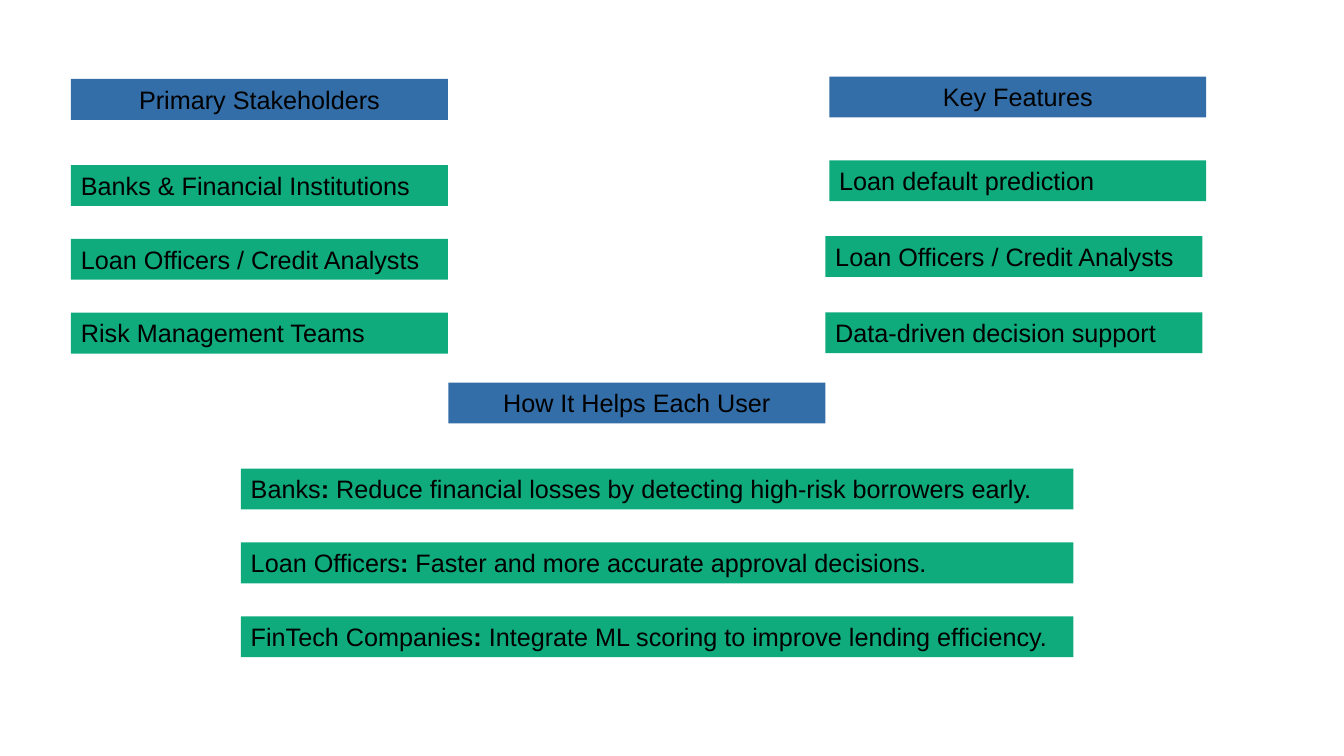
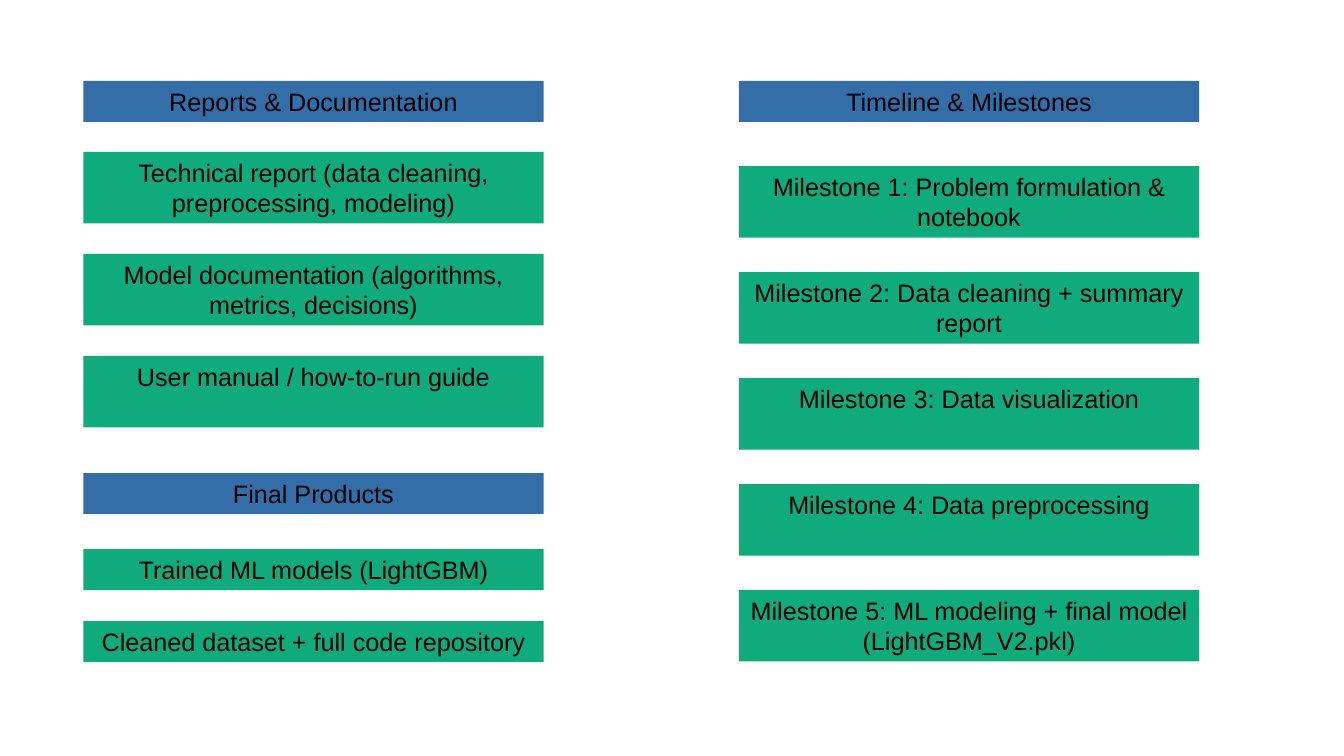
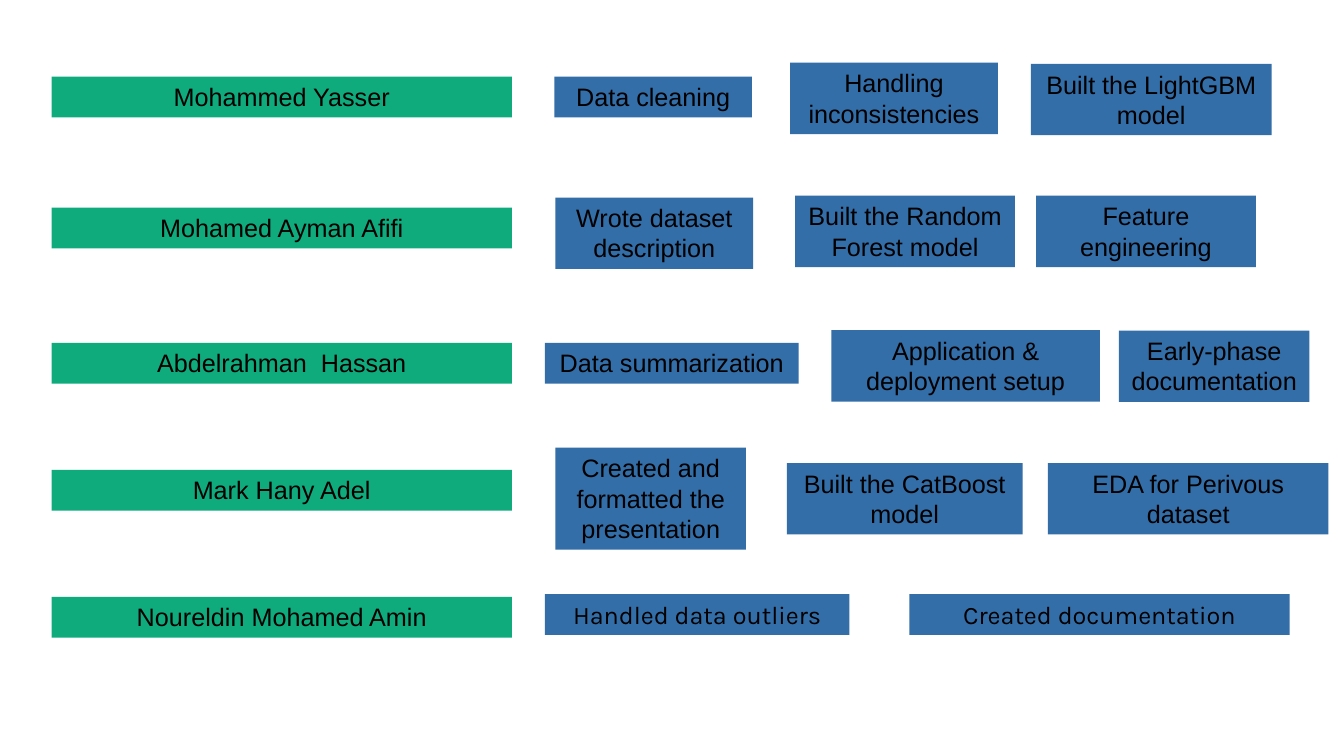
from pptx import Presentation
from pptx.dml.color import RGBColor
from pptx.enum.text import PP_ALIGN
from pptx.util import Cm, Pt

BLUE = RGBColor(0x33, 0x6E, 0xA8)
GREEN = RGBColor(0x0F, 0xAB, 0x7D)
BLACK = RGBColor(0, 0, 0)
CENTER, LEFT = PP_ALIGN.CENTER, PP_ALIGN.LEFT
BLANK_LAYOUT = 6
MAIN_FONT, ACCENT_FONT = "Arial", "Karla"
TEXT_SIZE = Pt(18)
LINE_HEIGHT, PADDING = 0.77, 0.26


class Board:
    """Holds the deck, its style and the current page; lengths are in cm."""

    def __init__(self):
        self.deck = Presentation()
        self.deck.slide_width, self.deck.slide_height = Cm(33.87), Cm(19.05)
        self.page = None

    def new_page(self):
        layout = self.deck.slide_layouts[BLANK_LAYOUT]
        self.page = self.deck.slides.add_slide(layout)

    def bar(self, text, left, top, width, lines=1, color=GREEN,
            align=CENTER, font=MAIN_FONT):
        """Draw a filled bar tall enough for the given number of lines."""
        height = PADDING + LINE_HEIGHT * lines
        box = self.page.shapes.add_textbox(Cm(left), Cm(top), Cm(width), Cm(height))
        box.fill.solid()
        box.fill.fore_color.rgb = color
        box.text_frame.word_wrap = True
        box.text_frame.text = text
        para = box.text_frame.paragraphs[0]
        para.alignment = align
        self.format_spans(para, font)
        return para

    def format_spans(self, para, font=MAIN_FONT):
        for span in para.runs:
            span.font.name = font
            span.font.size = TEXT_SIZE
            span.font.color.rgb = BLACK

    def header(self, text, left, top, width):
        self.bar(text, left, top, width, color=BLUE)

    def stack(self, texts, left, top, width, step, lines=1, align=CENTER):
        """Draw green bars under each other at an equal step."""
        return [self.bar(text, left, top + row * step, width, lines, align=align)
                for row, text in enumerate(texts)]

    def benefits(self, pairs, left, top, width, step):
        """Draw a stack of user names, each with a bold colon and a benefit."""
        users = [user for user, _ in pairs]
        paras = self.stack(users, left, top, width, step, align=LEFT)
        for para, (_, benefit) in zip(paras, pairs):
            colon = para.add_run()
            colon.text = ":"
            colon.font.bold = True
            para.add_run().text = f" {benefit}"
            self.format_spans(para)


def stakeholders_page(board):
    board.new_page()
    width, step = 9.5, 1.86
    board.header("Primary Stakeholders", 1.79, 1.99, width)
    board.stack(["Banks & Financial Institutions", "Loan Officers / Credit Analysts",
                 "Risk Management Teams"], 1.79, 4.16, width, step, align=LEFT)

    board.header("Key Features", 20.9, 1.93, width)
    board.stack(["Loan default prediction"], 20.9, 4.04, width, step, align=LEFT)
    board.stack(["Loan Officers / Credit Analysts", "Data-driven decision support"],
                20.8, 5.95, width, 1.92, align=LEFT)

    board.header("How It Helps Each User", 11.3, 9.64, width)
    board.benefits([
        ("Banks", "Reduce financial losses by detecting high-risk borrowers early."),
        ("Loan Officers", "Faster and more accurate approval decisions."),
        ("FinTech Companies", "Integrate ML scoring to improve lending efficiency."),
    ], 6.07, 11.81, 20.98, step)


def deliverables_page(board):
    board.new_page()
    left, right, width = 2.1, 18.62, 11.6
    board.header("Reports & Documentation", left, 2.04, width)
    board.stack(["Technical report (data cleaning, preprocessing, modeling)",
                 "Model documentation (algorithms, metrics, decisions)",
                 "User manual / how-to-run guide"], left, 3.83, width, 2.57, lines=2)

    board.header("Final Products", left, 11.92, width)
    board.stack(["Trained ML models (LightGBM)", "Cleaned dataset + full code repository"],
                left, 13.84, width, 1.81)

    board.header("Timeline & Milestones", right, 2.04, width)
    milestones = ["Problem formulation & notebook", "Data cleaning + summary report",
                  "Data visualization", "Data preprocessing",
                  "ML modeling + final model (LightGBM_V2.pkl)"]
    board.stack([f"Milestone {number}: {goal}" for number, goal in enumerate(milestones, 1)],
                right, 4.19, width, 2.67, lines=2)


def team_page(board):
    """Each member has a top, a task font and tasks (text, left, top, width, lines)."""
    board.new_page()
    team = [
        ("Mohammed Yasser", 1.93, MAIN_FONT, [
            ("Data cleaning", 13.97, 1.93, 4.98, 1),
            ("Handling inconsistencies", 19.91, 1.58, 5.24, 2),
            ("Built the LightGBM model", 25.98, 1.61, 6.07, 2)]),
        ("Mohamed Ayman Afifi", 5.23, MAIN_FONT, [
            ("Wrote dataset description", 14, 4.98, 4.98, 2),
            ("Built the Random Forest model", 20.04, 4.93, 5.54, 2),
            ("Feature engineering", 26.11, 4.93, 5.54, 2)]),
        ("Abdelrahman  Hassan", 8.64, MAIN_FONT, [
            ("Data summarization", 13.73, 8.64, 6.4, 1),
            ("Application & deployment setup", 20.95, 8.32, 6.77, 2),
            ("Early-phase documentation", 28.2, 8.33, 4.8, 2)]),
        ("Mark Hany Adel", 11.84, MAIN_FONT, [
            ("Created and formatted the presentation", 14, 11.28, 4.8, 3),
            ("Built the CatBoost model", 19.83, 11.67, 5.94, 2),
            ("EDA for Perivous dataset", 26.41, 11.67, 7.07, 2)]),
        ("Noureldin Mohamed Amin", 15.04, ACCENT_FONT, [
            ("Handled data outliers", 13.73, 14.97, 7.68, 1),
            ("Created documentation", 22.92, 14.97, 9.58, 1)]),
    ]
    for member, member_top, font, tasks in team:
        board.bar(member, 1.3, member_top, 11.6)
        for text, left, top, width, lines in tasks:
            board.bar(text, left, top, width, lines, color=BLUE, font=font)


def main():
    board = Board()
    stakeholders_page(board)
    deliverables_page(board)
    team_page(board)
    board.deck.save("out.pptx")


if __name__ == "__main__":
    main()
